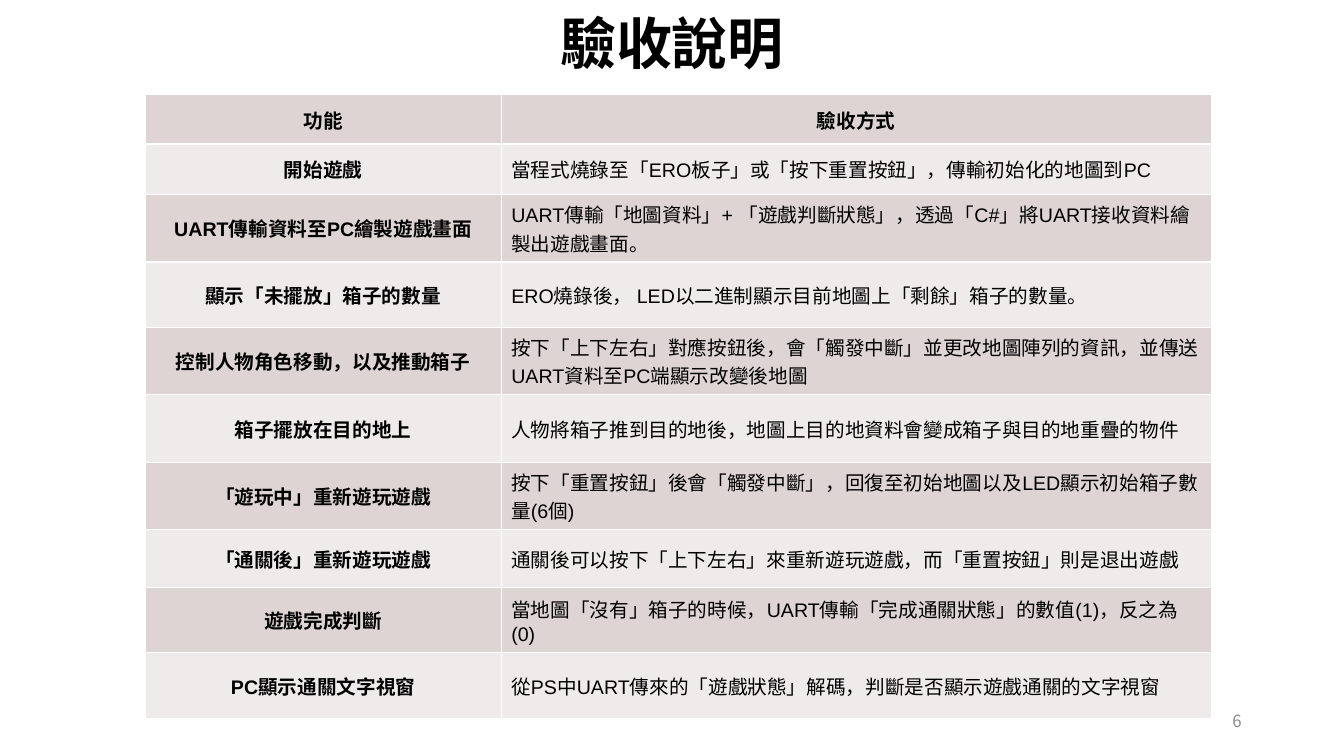
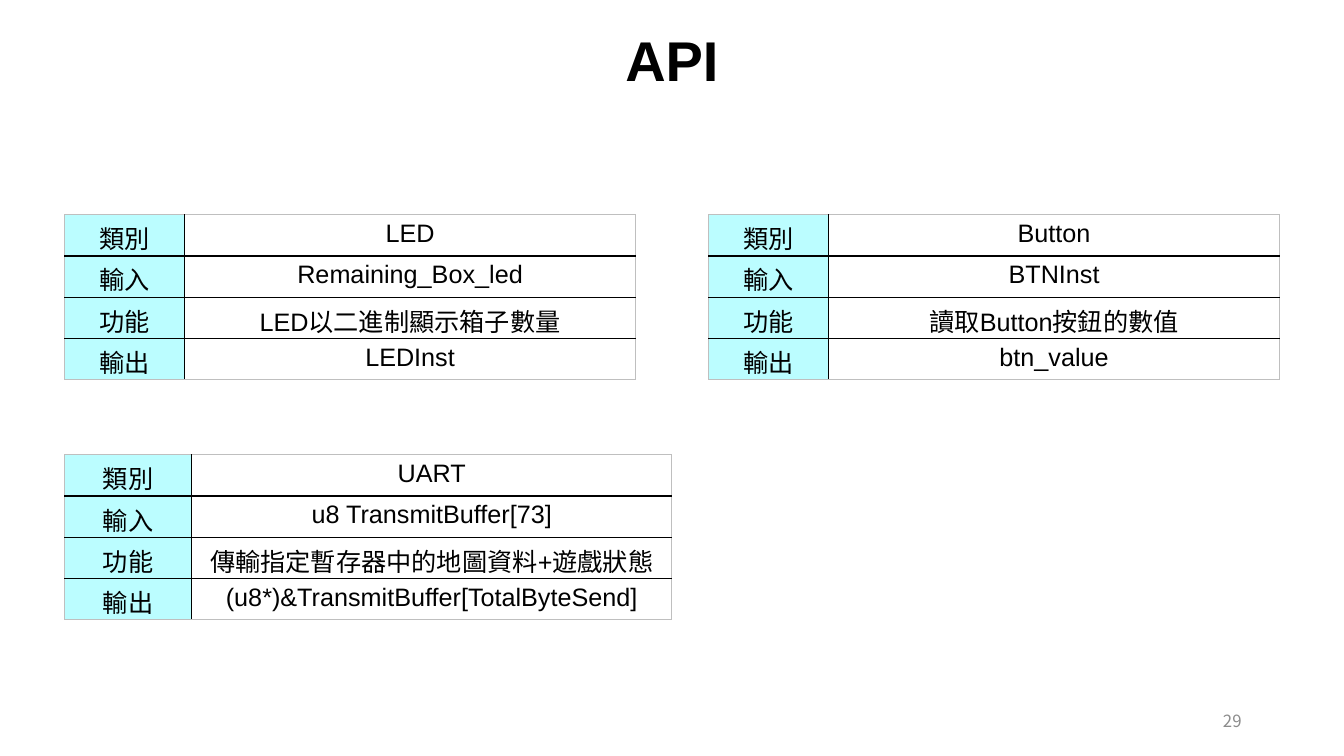
from lxml.etree import SubElement
from pptx import Presentation
from pptx.dml.color import RGBColor
from pptx.enum.text import MSO_ANCHOR, PP_ALIGN
from pptx.oxml.ns import qn
from pptx.util import Cm, Pt

COLORS = {
    "text": "000000",
    "number": "8C8C8C",
    "white": "FFFFFF",
    "band_dark": "DED4D4",
    "band_light": "EFEBEB",
    "label": "BBFDFF",
    "frame": "BFBFBF",
}
LATIN, CJK = "Arial", "Noto Sans CJK TC"
SLIDE_W, SLIDE_H = 33.87, 19.05

CHECK_ROWS = [
    (1.24, "功能", "驗收方式"),
    (1.27, "開始遊戲", "當程式燒錄至「ERO板子」或「按下重置按鈕」，傳輸初始化的地圖到PC"),
    (1.7, "UART傳輸資料至PC繪製遊戲畫面",
     "UART傳輸「地圖資料」+ 「遊戲判斷狀態」，透過「C#」將UART接收資料繪製出遊戲畫面。"),
    (1.65, "顯示「未擺放」箱子的數量",
     "ERO燒錄後， LED以二進制顯示目前地圖上「剩餘」箱子的數量。"),
    (1.7, "控制人物角色移動，以及推動箱子",
     "按下「上下左右」對應按鈕後，會「觸發中斷」並更改地圖陣列的資訊，"
     "並傳送UART資料至PC端顯示改變後地圖"),
    (1.7, "箱子擺放在目的地上",
     "人物將箱子推到目的地後，地圖上目的地資料會變成箱子與目的地重疊的物件"),
    (1.7, "「遊玩中」重新遊玩遊戲",
     "按下「重置按鈕」後會「觸發中斷」，回復至初始地圖以及LED顯示初始箱子數量(6個)"),
    (1.45, "「通關後」重新遊玩遊戲",
     "通關後可以按下「上下左右」來重新遊玩遊戲，而「重置按鈕」則是退出遊戲"),
    (1.65, "遊戲完成判斷",
     "當地圖「沒有」箱子的時候，UART傳輸「完成通關狀態」的數值(1)，反之為(0)"),
    (1.65, "PC顯示通關文字視窗",
     "從PS中UART傳來的「遊戲狀態」解碼，判斷是否顯示遊戲通關的文字視窗"),
]

API_LABELS = ["類別", "輸入", "功能", "輸出"]
# Left, top, column widths, values
API_CARDS = [
    (1.63, 5.41, (3.02, 11.37),
     ["LED", "Remaining_Box_led", "LED以二進制顯示箱子數量", "LEDInst"]),
    (17.86, 5.41, (3.02, 11.37),
     ["Button", "BTNInst", "讀取Button按鈕的數值", "btn_value"]),
    (1.63, 11.46, (3.2, 12.1),
     ["UART", "u8 TransmitBuffer[73]", "傳輸指定暫存器中的地圖資料+遊戲狀態",
      "(u8*)&TransmitBuffer[TotalByteSend]"]),
]


def rgb(name):
    return RGBColor.from_string(COLORS[name])


def write(tf, text, size, align, color="text", bold=False, latin=LATIN):
    p = tf.paragraphs[0]
    p.text = text
    p.alignment = align
    r = p.runs[0]
    r.font.size = Pt(size)
    r.font.bold = bold
    r.font.color.rgb = rgb(color)
    r.font.name = latin
    SubElement(r.font._element, qn("a:ea"), typeface=CJK)


def add_text(slide, left, top, width, height, text, size, align, **style):
    tf = slide.shapes.add_textbox(Cm(left), Cm(top), Cm(width), Cm(height)).text_frame
    tf.word_wrap = True
    tf.vertical_anchor = MSO_ANCHOR.MIDDLE
    write(tf, text, size, align, **style)


def add_base(prs, title, title_top, number):
    """Blank slide with the shared title and slide number."""
    slide = prs.slides.add_slide(prs.slide_layouts[6])
    width = 6.2
    add_text(slide, (SLIDE_W - width) / 2, title_top, width, 1.96,
             title, 40, PP_ALIGN.CENTER, bold=True)
    add_text(slide, 23.92, 17.66, 7.62, 1.01, str(number), 12, PP_ALIGN.RIGHT,
             color="number", latin=CJK)
    return slide


def set_borders(cell, colors):
    """Draw 1 pt borders; colors go left, right, top, bottom."""
    tc_pr = cell._tc.get_or_add_tcPr()
    for side, color in zip("LRTB", colors):
        ln = SubElement(tc_pr, qn(f"a:ln{side}"), w=str(Pt(1)))
        fill = SubElement(ln, qn("a:solidFill"))
        SubElement(fill, qn("a:srgbClr"), val=COLORS[color])


def add_grid(slide, left, top, widths, heights):
    frame = slide.shapes.add_table(len(heights), len(widths), Cm(left), Cm(top),
                                   Cm(sum(widths)), Cm(sum(heights)))
    table = frame.table
    table.first_row = table.horz_banding = False
    for column, width in zip(table.columns, widths):
        column.width = Cm(width)
    for row, height in zip(table.rows, heights):
        row.height = Cm(height)
    return table


def add_check_table(slide, left, top):
    table = add_grid(slide, left, top, (8.97, 17.9), [row[0] for row in CHECK_ROWS])
    for i, (_, *texts) in enumerate(CHECK_ROWS):
        for j, text in enumerate(texts):
            cell = table.cell(i, j)
            heading = i == 0 or j == 0
            set_borders(cell, ["white"] * 4)
            cell.fill.solid()
            cell.fill.fore_color.rgb = rgb("band_light" if i % 2 else "band_dark")
            cell.vertical_anchor = MSO_ANCHOR.MIDDLE
            write(cell.text_frame, text, 14,
                  PP_ALIGN.CENTER if heading else PP_ALIGN.LEFT, bold=heading)


def add_api_card(slide, left, top, widths, values):
    last = len(API_LABELS) - 1
    table = add_grid(slide, left, top, widths, [1.04] * len(API_LABELS))
    for i, texts in enumerate(zip(API_LABELS, values)):
        for j, text in enumerate(texts):
            cell = table.cell(i, j)
            # Grey outer frame, black inner lines
            outer = (j == 0, j == 1, i == 0, i == last)
            set_borders(cell, ["frame" if edge else "text" for edge in outer])
            if j == 0:
                cell.fill.solid()
                cell.fill.fore_color.rgb = rgb("label")
            else:
                cell.fill.background()
            cell.margin_top, cell.margin_bottom = Cm(0.12), Cm(0)
            write(cell.text_frame, text, 18, PP_ALIGN.CENTER)


def main():
    prs = Presentation()
    prs.slide_width, prs.slide_height = Cm(SLIDE_W), Cm(SLIDE_H)

    # Acceptance checks
    s = add_base(prs, "驗收說明", 0.08, 6)
    add_check_table(s, 3.66, 2.39)

    # API cards
    s = add_base(prs, "API", 0.5, 29)
    for card in API_CARDS:
        add_api_card(s, *card)

    prs.save("out.pptx")


if __name__ == "__main__":
    main()
